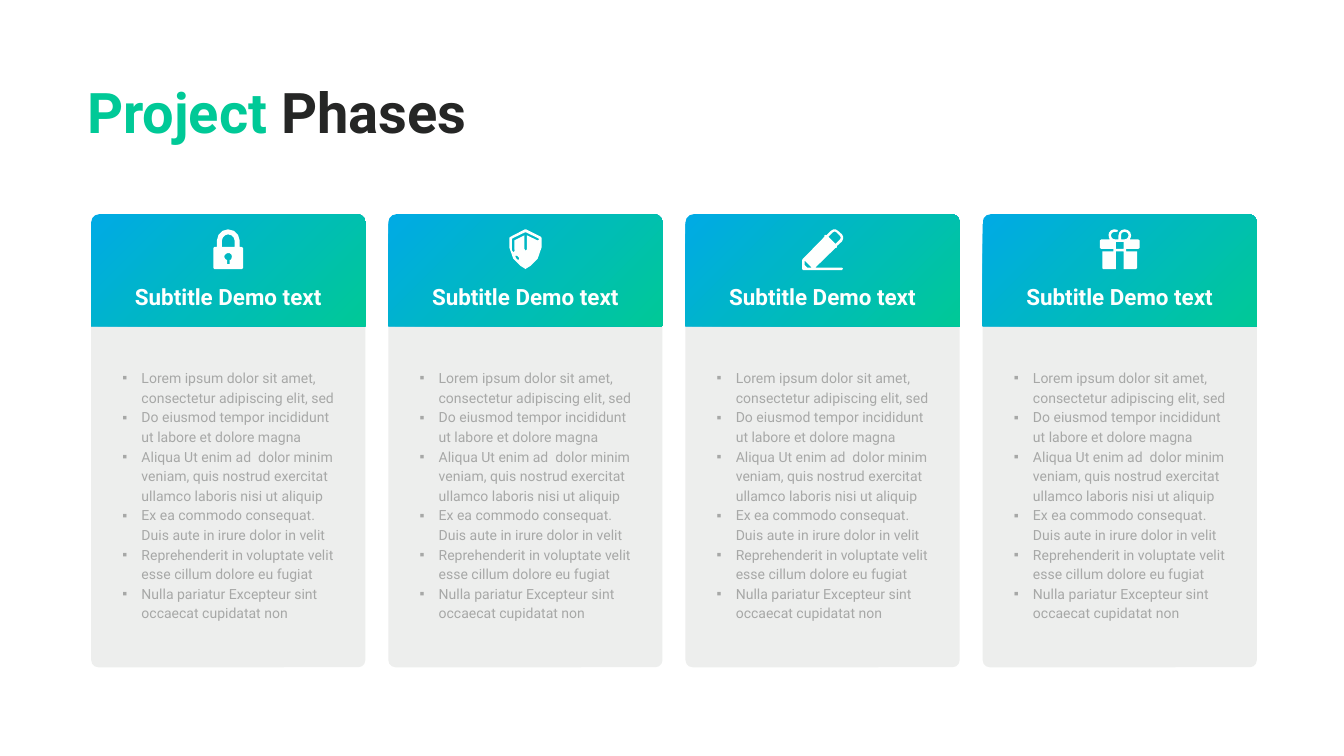
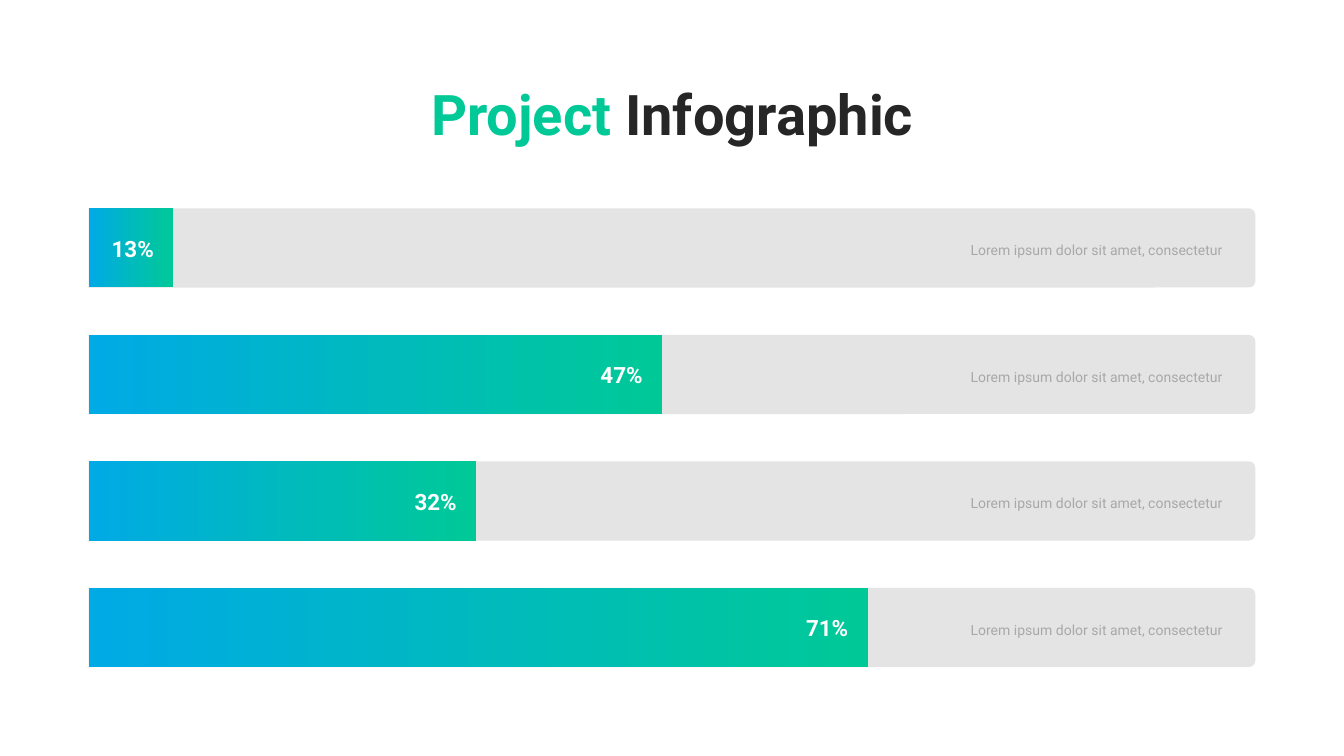
from dataclasses import dataclass
from math import dist

from lxml.etree import SubElement
from pptx import Presentation
from pptx.dml.color import RGBColor
from pptx.enum.shapes import MSO_SHAPE as Shape
from pptx.enum.text import MSO_ANCHOR as Anchor, PP_ALIGN as Align
from pptx.oxml.ns import qn
from pptx.util import Inches, Pt

# ---- Content ----
PHASES_TITLE = ("Project", " Phases")
INFOGRAPHIC_TITLE = ("Project ", "Infographic")
SUBTITLE = "Subtitle Demo text"
PHASE_POINTS = [
    "Lorem ipsum dolor sit amet, consectetur adipiscing elit, sed",
    "Do eiusmod tempor incididunt ut labore et dolore magna",
    "Aliqua Ut enim ad  dolor minim veniam, quis nostrud exercitat ullamco laboris nisi ut aliquip",
    "Ex ea commodo consequat. Duis aute in irure dolor in velit",
    "Reprehenderit in voluptate velit esse cillum dolore eu fugiat",
    "Nulla pariatur Excepteur sint occaecat cupidatat non",
]
BAR_NOTE = "Lorem ipsum dolor sit amet, consectetur"
BARS = [("13%", 1.68), ("47%", 11.38), ("32%", 7.69), ("71%", 15.46)]  # label, length

# Icon outlines in hundredths of an inch: M move, L line, C cubic curve, Z close
LOCK = """
M 56 35 L 52 35 L 52 22 C 52 10 42 0 29 0 C 17 0 7 10 7 22 L 7 35 L 2 35 C 1 35 0 36 0 37
L 0 77 C 0 78 1 79 2 79 L 56 79 C 58 79 59 78 59 77 L 59 37 C 59 36 58 35 56 35 Z
M 17 22 C 17 16 23 10 29 10 C 36 10 42 16 42 22 L 42 35 L 17 35 Z
M 32 61 L 32 69 L 27 69 L 27 61 C 23 60 21 56 22 52 C 24 48 28 46 32 47
C 36 49 38 53 36 57 C 36 59 34 61 32 61 Z"""
SHIELD = """
M 32 79 C 32 79 31 79 31 78 C 30 78 0 61 0 36 L 0 17 C 0 16 1 15 2 15 L 31 0 C 32 0 33 0 33 0
L 63 15 C 64 15 64 16 64 17 L 64 36 C 64 61 35 78 33 78 C 33 79 33 79 32 79 Z
M 19 60 C 20 59 20 57 19 56 C 18 55 17 54 16 53 C 16 52 14 52 13 52 C 12 53 12 55 13 56
C 13 57 14 58 16 60 C 16 61 18 61 19 60 Z
M 58 18 L 33 6 C 33 5 32 5 31 6 L 6 18 C 6 18 5 19 5 20 L 5 36 C 5 38 5 41 6 43
C 6 44 7 45 8 45 C 9 45 9 45 9 45 C 10 44 11 43 11 42 C 10 40 10 38 10 36 L 10 22 L 30 12
L 30 39 C 30 41 31 42 32 42 C 33 42 35 41 35 39 L 35 12 L 56 22
C 57 23 58 22 59 21 C 60 20 59 19 58 18 Z"""
PENCIL = """
M 79 76 L 26 76 L 66 37 C 67 38 68 37 69 36 C 70 35 70 34 69 33 L 79 24 C 82 20 82 13 79 10
L 71 3 C 68 -1 61 -1 57 3 L 48 12 C 47 11 45 11 44 12 C 44 13 44 14 44 15 L 1 59
C 0 59 0 60 0 61 L 0 78 C 0 80 1 81 3 81 L 79 81 C 80 81 81 80 81 78 C 81 77 80 76 79 76 Z
M 61 6 C 63 4 66 4 68 6 L 75 13 C 77 15 77 18 75 20 L 66 29 L 52 15 Z
M 10 76 L 5 71 L 5 62 L 19 76 Z"""
GIFT = """
M 76 20 L 59 20 C 61 17 62 15 62 12 C 62 5 56 0 49 0 C 43 0 37 5 37 12 L 37 20 L 30 20
C 26 20 22 16 22 12 C 22 8 26 5 30 5 C 31 5 32 5 33 5 C 34 6 35 5 36 4 C 36 3 36 1 35 1
C 35 1 34 1 34 1 C 28 -2 21 1 18 7 C 17 11 17 16 20 20 L 3 20 C 1 20 0 21 0 22 L 0 37
C 0 38 1 39 3 39 L 27 39 L 27 44 L 5 44 L 5 76 C 5 78 6 79 8 79 L 32 79 L 32 44 L 47 44
L 47 79 L 72 79 C 73 79 74 78 74 76 L 74 44 L 52 44 L 52 39 L 76 39 C 78 39 79 38 79 37
L 79 22 C 79 21 78 20 76 20 Z
M 47 39 L 32 39 L 32 25 L 47 25 Z
M 49 20 L 42 20 L 42 12 C 42 8 45 5 49 5 C 53 5 57 8 57 12 C 57 16 53 20 49 20 Z"""
PHASE_ICONS = [(LOCK, 0.59), (SHIELD, 0.64), (PENCIL, 0.81), (GIFT, 0.79)]  # outline, width


@dataclass(frozen=True)
class Theme:
    font: str = "Roboto"
    bullet_font: str = "Arial"
    title_size: int = 80
    label_size: int = 32
    body_size: int = 20
    body_leading: int = 28
    blue: str = "00AAE5"
    green: str = "00C997"
    dark: str = "252625"
    white: str = "FEFFFE"
    grey_text: str = "A7A8A7"
    card: str = "EDEEED"
    track: str = "C7C8C7"
    track_alpha: int = 48


THEME = Theme()


# ---- Shared parts ----
def rgb(code):
    return RGBColor.from_string(code)


def place(left, top, width, height):
    return Inches(left), Inches(top), Inches(width), Inches(height)


def finish(shape, color):
    shape.fill.solid()
    shape.fill.fore_color.rgb = rgb(color)
    shape.line.fill.background()
    shape.shadow.inherit = False
    return shape


def blend(shape, angle):
    """Blue to green gradient; angle runs counter-clockwise."""
    shape.fill.gradient()
    shape.fill.gradient_angle = angle
    for stop, color, position in zip(shape.fill.gradient_stops, (THEME.blue, THEME.green), (0, 1)):
        stop.color.rgb = rgb(color)
        stop.position = position


def add_block(slide, kind, box, color, corner=None):
    block = finish(slide.shapes.add_shape(kind, *place(*box)), color)
    if corner is not None:
        block.adjustments[0] = corner
    return block


def style(paragraph, size, color, bold=False):
    font = paragraph.font
    font.name, font.size, font.bold = THEME.font, Pt(size), bold
    font.color.rgb = rgb(color)


def add_frame(slide, box, inset=None):
    frame = slide.shapes.add_textbox(*place(*box)).text_frame
    frame.word_wrap = True
    if inset is not None:
        frame.margin_left = frame.margin_right = Inches(inset)
        frame.margin_top = frame.margin_bottom = Inches(inset)
    return frame


def add_title(slide, words, box, align):
    line = add_frame(slide, box, 0.06).paragraphs[0]
    line.alignment = align
    accent, rest = line.add_run(), line.add_run()
    accent.text, rest.text = words
    style(line, THEME.title_size, THEME.dark, bold=True)
    accent.font.color.rgb = rgb(THEME.green)


def add_label(slide, text, box):
    frame = add_frame(slide, box, 0.06)
    frame.vertical_anchor = Anchor.MIDDLE
    line = frame.paragraphs[0]
    line.text, line.alignment = text, Align.CENTER
    style(line, THEME.label_size, THEME.white, bold=True)


def write_body(paragraph, text, align=Align.LEFT, bullet=None):
    paragraph.text, paragraph.alignment = text, align
    paragraph.line_spacing = Pt(THEME.body_leading)
    if bullet:
        props = paragraph._p.get_or_add_pPr()
        props.set("marL", str(Inches(0.38)))
        props.set("indent", str(-Inches(0.38)))
        SubElement(props, qn("a:buFont")).set("typeface", THEME.bullet_font)
        SubElement(props, qn("a:buChar")).set("char", bullet)
    style(paragraph, THEME.body_size, THEME.grey_text)


# ---- Icons ----
def bend(curve):
    """Points along a cubic curve; a tiny one becomes a single straight step."""
    steps = 1 if dist(curve[0], curve[-1]) < 4 else 3
    for step in range(1, steps + 1):
        t = step / steps
        weights = ((1 - t) ** 3, 3 * t * (1 - t) ** 2, 3 * t * t * (1 - t), t ** 3)
        yield tuple(sum(w * point[axis] for w, point in zip(weights, curve)) for axis in (0, 1))


def trace(outline):
    """Turn an outline into one list of points per contour."""
    contours = []
    for letter in "MLC":
        outline = outline.replace(letter, "|" + letter)
    for command in outline.replace("Z", "").split("|")[1:]:
        letter, *numbers = command.split()
        values = [float(n) for n in numbers]
        points = list(zip(values[::2], values[1::2]))
        if letter == "M":
            contours.append(points)
        elif letter == "L":
            contours[-1] += points
        else:
            contours[-1] += list(bend([contours[-1][-1], *points]))
    return contours


def add_icon(slide, outline, left, top):
    fine = 10  # drawing units per hundredth of an inch
    contours = [[(x * fine, y * fine) for x, y in contour] for contour in trace(outline)]
    builder = slide.shapes.build_freeform(*contours[0][0], scale=Inches(1) / (100 * fine))
    for number, contour in enumerate(contours):
        if number:
            builder.move_to(*contour[0])
        builder.add_line_segments(contour[1:], close=True)
    finish(builder.convert_to_shape(Inches(left), Inches(top)), THEME.white)


# ---- Slides ----
def build_phases(slide):
    add_title(slide, PHASES_TITLE, (1.67, 1.48, 8.44, 1.46), Align.LEFT)
    first, last, width = 1.81, 19.5, 5.44
    pitch = (last - first) / (len(PHASE_ICONS) - 1)
    for column, (outline, icon_width) in enumerate(PHASE_ICONS):
        left = first + column * pitch
        add_block(slide, Shape.ROUNDED_RECTANGLE, (left, 4.31, width, 8.93), THEME.card, 0.026)
        header = add_block(slide, Shape.ROUND_2_SAME_RECTANGLE, (left, 4.25, width, 2.22),
                           THEME.blue, 0.072)
        blend(header, 315)
        add_label(slide, SUBTITLE, (left, 5.56, width, 0.65))
        points = add_frame(slide, (left + 0.52, 7.23, 4.43, 5.18))
        for number, text in enumerate(PHASE_POINTS):
            line = points.add_paragraph() if number else points.paragraphs[0]
            write_body(line, text, bullet="▪")
        add_icon(slide, outline, left + (width - icon_width) / 2, 4.55)


def add_bar(slide, kind, left, middle, length, color, corner=None):
    """A horizontal bar: an upright shape turned a quarter to the right."""
    thickness = 1.57
    box = (left + (length - thickness) / 2, middle - length / 2, thickness, length)
    bar = add_block(slide, kind, box, color, corner)
    bar.rotation = 90
    return bar


def build_infographic(slide):
    add_title(slide, INFOGRAPHIC_TITLE, (7.05, 1.52, 12.58, 1.46), Align.CENTER)
    left, track_length, first_middle, pitch = 1.76, 23.15, 4.92, 2.51
    label_width, label_gap = 1.11, 0.25
    for row, (percent, length) in enumerate(BARS):
        middle = first_middle + row * pitch
        track = add_bar(slide, Shape.ROUND_2_SAME_RECTANGLE, left, middle, track_length,
                        THEME.track, 0.079)
        tint = track.element.spPr.find(".//" + qn("a:srgbClr"))
        SubElement(tint, qn("a:alpha")).set("val", str(THEME.track_alpha * 1000))
        blend(add_bar(slide, Shape.RECTANGLE, left, middle, length, THEME.blue), 90)
        label_left = left + length - label_gap - label_width
        add_label(slide, percent, (label_left, middle - 0.32, label_width, 0.65))
        note = add_frame(slide, (16.84, middle - 0.23, 7.52, 0.47))
        write_body(note.paragraphs[0], BAR_NOTE, Align.RIGHT)


def main():
    deck = Presentation()
    deck.slide_width, deck.slide_height = Inches(26.67), Inches(15)
    for build in (build_phases, build_infographic):
        build(deck.slides.add_slide(deck.slide_layouts[6]))
    deck.save("out.pptx")


if __name__ == "__main__":
    main()
